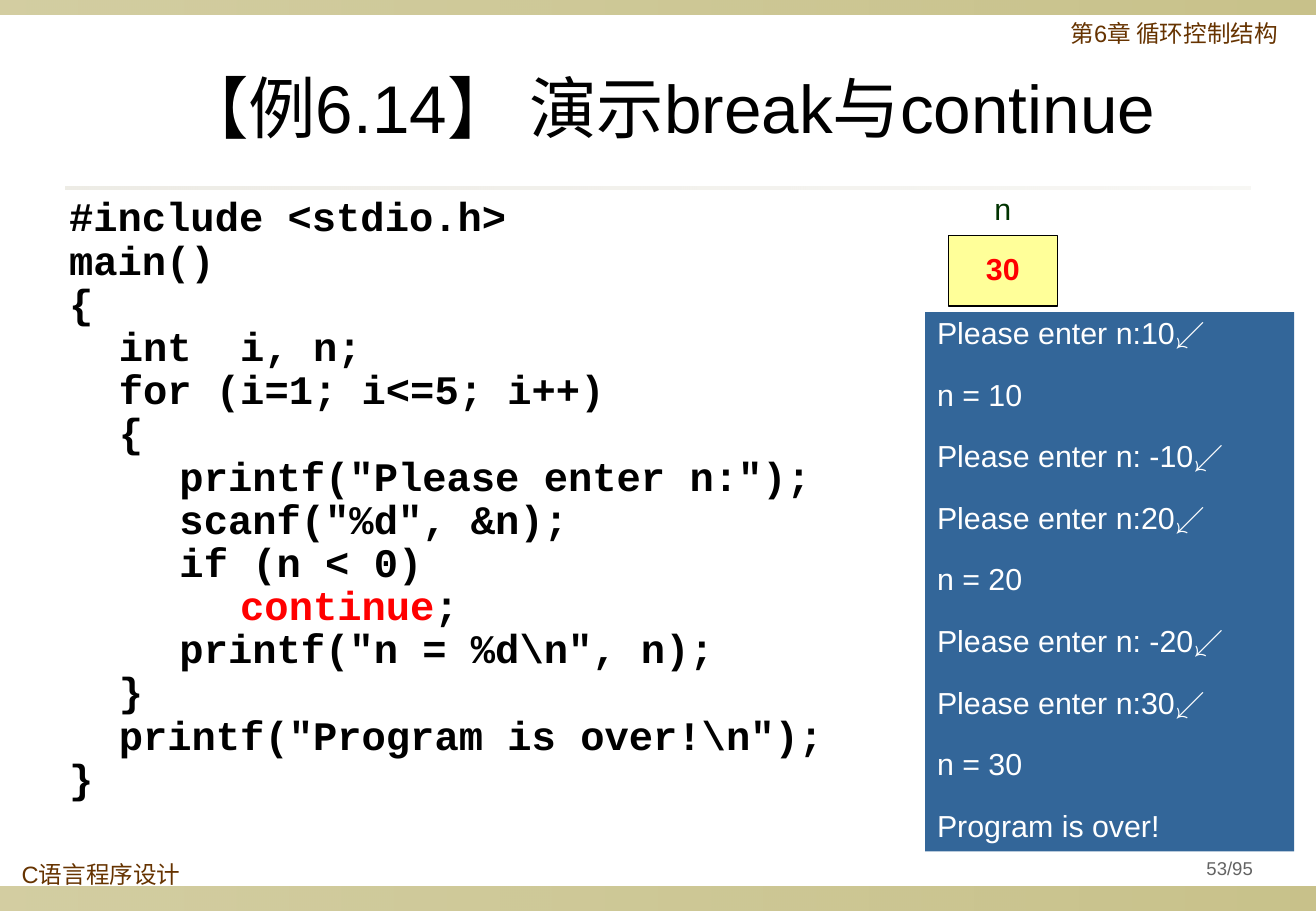
from pptx import Presentation
from pptx import util as u
from pptx.dml.color import RGBColor
from pptx.enum import shapes, text
from pptx.oxml.ns import qn
from lxml import etree

WIDTH, HEIGHT = u.Inches(10.84), u.Inches(7.5)
COLORS = {
    "band": "918415", "rule": "DCD9CC", "label": "663300", "variable": "003300",
    "panel": "336699", "cell": "FFFF99", "black": "000000", "white": "FFFFFF",
    "red": "FF0000", "page": "636363",
}
CODE = r"""#include <stdio.h>
main()
{
	int  i, n;
	for (i=1; i<=5; i++)
	{
		printf("Please enter n:");
		scanf("%d", &n);
		if (n < 0)
			continue;
		printf("n = %d\n", n);
	}
	printf("Program is over!\n");
}"""
OUTPUT = """Please enter n:10↙
n = 10
Please enter n: -10↙
Please enter n:20↙
n = 20
Please enter n: -20↙
Please enter n:30↙
n = 30
Program is over!"""


def rgb(name):
    return RGBColor.from_string(COLORS[name])


def area(left, top, width, height):
    """Turn percentages of the slide into left, top, width and height."""
    return [int(share * side / 100) for share, side in
            zip((left, top, width, height), (WIDTH, HEIGHT, WIDTH, HEIGHT))]


def write(sp, content, size, color, bold=False, font="Arial", align="LEFT",
          anchor="TOP", spacing=0.9, before=0, after=0, wrap=True):
    tf = sp.text_frame
    tf.text = content
    tf.word_wrap = wrap
    tf.auto_size = text.MSO_AUTO_SIZE.NONE
    tf.vertical_anchor = text.MSO_ANCHOR[anchor]
    for i, p in enumerate(tf.paragraphs):
        p.alignment = text.PP_ALIGN[align]
        p.line_spacing = spacing
        p.space_before = u.Pt(before if i else 0)
        p.space_after = u.Pt(after)
        for r in p.runs:
            r.font.name, r.font.size, r.font.bold = font, u.Pt(size), bold
            r.font.color.rgb = rgb(color)
    return tf


def add_label(s, box, content, size, color, **style):
    return write(s.shapes.add_textbox(*area(*box)), content, size, color, **style)


def add_box(s, box, fill=None, line=None):
    sp = s.shapes.add_shape(shapes.MSO_SHAPE.RECTANGLE, *area(*box))
    sp.shadow.inherit = False
    if fill:
        sp.fill.solid()
        sp.fill.fore_color.rgb = rgb(fill)
    if line:
        sp.line.color.rgb = rgb(line)
        sp.line.width = u.Pt(0.75)
    else:
        sp.line.fill.background()
    return sp


def add_fading_bar(s, box, color, opacities):
    """Add a bar of one colour whose opacity runs from left to right."""
    sp = add_box(s, box)
    sp.fill.gradient()
    sp.fill.gradient_angle = 0
    for stop in sp.fill.gradient_stops:
        stop.color.rgb = rgb(color)
    for clr, percent in zip(sp.element.xpath(".//a:gs/a:srgbClr"), opacities):
        etree.SubElement(clr, qn("a:alpha"), val=str(percent * 1000))


def indent_code(tf):
    """Set a hanging indent and a tab stop at every inch."""
    for p in tf.paragraphs:
        pPr = p._p.get_or_add_pPr()
        pPr.set("marL", str(u.Inches(0.41)))
        pPr.set("indent", str(-u.Inches(0.41)))
        tabs = etree.SubElement(pPr, qn("a:tabLst"))
        for inch in range(8):
            etree.SubElement(tabs, qn("a:tab"), pos=str(u.Inches(inch)), algn="l")


def add_code(s, box, keyword):
    tf = add_label(s, box, CODE, 24, "black", bold=True, font="Courier New",
                   spacing=0.75, after=4)
    indent_code(tf)
    for p in tf.paragraphs:
        if keyword not in p.text:
            continue
        r = p.runs[0]
        r.text, *rest = r.text.partition(keyword)
        for part in rest:
            new = p.add_run()
            new.text = part
            new.font.name, new.font.size, new.font.bold = r.font.name, r.font.size, True
            new.font.color.rgb = rgb("red" if part == keyword else "black")


def add_title(s, box, content):
    sp = s.shapes.title
    sp.left, sp.top, sp.width, sp.height = area(*box)
    write(sp, content, 40, "black", align="CENTER", spacing=0.85, after=5.9)


def main():
    prs = Presentation()
    prs.slide_width, prs.slide_height = WIDTH, HEIGHT
    s = prs.slides.add_slide(prs.slide_layouts[5])

    add_fading_bar(s, (0, 97.33, 100, 2.67), "band", (40, 50))
    add_fading_bar(s, (0, 0, 100, 1.6), "band", (40, 50))
    add_fading_bar(s, (5, 20.53, 90, 0.27), "rule", (50, 20))
    add_label(s, (0.74, 94.13, 14.39, 4.27), "C语言程序设计", 14, "label")
    add_label(s, (80.44, 1.73, 19.46, 5.2), "第6章 循环控制结构", 14, "label")
    add_title(s, (6.27, 8, 89, 13.6), "【例6.14】 演示break与continue")

    add_label(s, (72.05, 20.67, 8.3, 4.93), "n", 18, "variable",
              align="CENTER", after=5.9)
    write(add_box(s, (70.3, 34.27, 28.04, 59.2), "panel"), OUTPUT, 18, "white",
          before=11.2, after=5.9)
    write(add_box(s, (72.05, 25.87, 8.3, 7.73), "cell", "black"), "30", 18, "red",
          bold=True, align="CENTER", anchor="MIDDLE", after=5.9, wrap=False)
    add_code(s, (4.34, 21.6, 85, 68.27), "continue")
    add_label(s, (88.47, 93.33, 9.96, 4.13), "53/95", 11, "page",
              align="CENTER", anchor="MIDDLE", after=5.9)

    prs.save("out.pptx")


if __name__ == "__main__":
    main()
